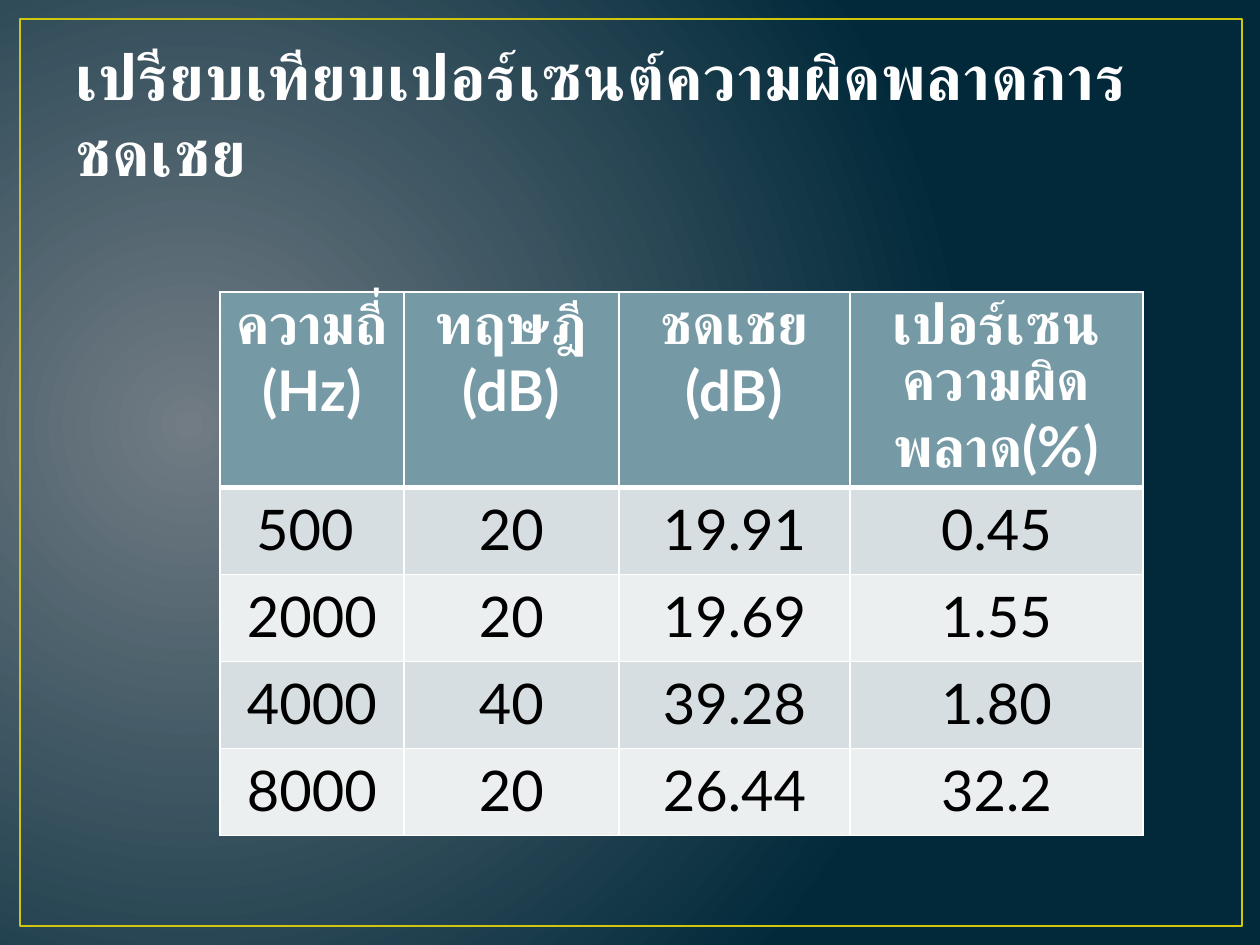
from dataclasses import dataclass

from pptx import Presentation
from pptx.dml.color import RGBColor
from pptx.enum.shapes import MSO_SHAPE as Preset
from pptx.enum.text import MSO_ANCHOR as Anchor, PP_ALIGN as Align
from pptx.oxml import parse_xml
from pptx.oxml.ns import nsdecls
from pptx.util import Pt

EMU_PER_PX = 914400 / 126


@dataclass(frozen=True)
class Theme:
    """Colours, fonts and type sizes of the slide."""
    glow: str = "717C84"
    night: str = "01293A"
    frame: str = "CFC60D"
    title: str = "FEFEFE"
    header: str = "759AA5"
    bands: tuple = ("D6DEE1", "ECEFF0")
    white: str = "FFFFFF"
    black: str = "000000"
    title_font: str = "Calibri"
    table_font: str = "Lato"
    title_size: int = 36
    table_size: int = 32


THEME = Theme()
TITLE = "เปรียบเทียบเปอร์เซนต์ความผิดพลาดการชดเชย"
COLUMN_WIDTHS = (184, 215, 231, 293)
ROW_HEIGHTS = (159, 87, 87, 87, 87)
ROWS = (
    ("ความถี่ (Hz)", "ทฤษฎี\n(dB)", "ชดเชย\n(dB)", "เปอร์เซนความผิดพลาด(%)"),
    ("500 ", "20", "19.91", "0.45"),
    ("2000", "20", "19.69", "1.55"),
    ("4000", "40", "39.28", "1.80"),
    ("8000", "20", "26.44", "32.2"),
)


def px(*lengths):
    """Turn pixel lengths into a list of EMU."""
    return [round(length * EMU_PER_PX) for length in lengths]


def apply_format(target, values):
    """Set each named attribute on the target."""
    for name, value in values.items():
        setattr(target, name, value)


def format_font(font, name, size, color, bold):
    """Give a font its face, size, colour and weight."""
    apply_format(font, {"name": name, "size": Pt(size), "bold": bold})
    font.color.rgb = RGBColor.from_string(color)


def set_background(slide):
    """Fill the slide with a radial gradient."""
    stops = "".join(
        f'<a:gs pos="{position}"><a:srgbClr val="{color}"/></a:gs>'
        for position, color in ((0, THEME.glow), (100000, THEME.night))
    )
    background = parse_xml(
        f'<p:bg {nsdecls("p", "a")}><p:bgPr><a:gradFill rotWithShape="1">'
        f'<a:gsLst>{stops}</a:gsLst><a:path path="circle">'
        '<a:fillToRect l="15000" t="50000" r="85000" b="60000"/></a:path>'
        '</a:gradFill><a:effectLst/></p:bgPr></p:bg>'
    )
    slide.element.cSld.insert(0, background)


def add_frame(slide):
    """Draw the thin border near the slide edge."""
    shape = slide.shapes.add_shape(Preset.RECTANGLE, *px(20, 19, 1222, 907))
    shape.shadow.inherit = False
    shape.fill.background()
    shape.line.color.rgb = RGBColor.from_string(THEME.frame)
    shape.line.width = Pt(1.5)


def add_title(slide):
    """Write the title at the bottom of its box."""
    text_frame = slide.shapes.add_textbox(*px(63, 38, 1134, 157)).text_frame
    apply_format(text_frame, {"word_wrap": True, "vertical_anchor": Anchor.BOTTOM})
    run = text_frame.paragraphs[0].add_run()
    run.text = TITLE
    format_font(run.font, THEME.title_font, THEME.title_size, THEME.title, True)
    run.font._element.set("spc", "50")


def set_borders(cell, bottom_width):
    """Put white lines on the four sides of a cell."""
    properties = cell._tc.get_or_add_tcPr()
    widths = {"lnL": 1, "lnR": 1, "lnT": 1, "lnB": bottom_width}
    for index, (tag, width) in enumerate(widths.items()):
        properties.insert(index, parse_xml(
            f'<a:{tag} {nsdecls("a")} w="{Pt(width)}"><a:solidFill>'
            f'<a:srgbClr val="{THEME.white}"/></a:solidFill></a:{tag}>'
        ))


def fill_cell(cell, text, row):
    """Write and style one table cell according to its row."""
    is_header = row == 0
    side, edge = px(15, 8)
    apply_format(cell, {
        "text": text, "margin_left": side, "margin_right": side,
        "margin_top": edge, "margin_bottom": edge,
    })
    for paragraph in cell.text_frame.paragraphs:
        paragraph.alignment = Align.CENTER
        for run in paragraph.runs:
            color = THEME.white if is_header else THEME.black
            format_font(run.font, THEME.table_font, THEME.table_size, color, is_header)
    fill = THEME.header if is_header else THEME.bands[(row - 1) % 2]
    cell.fill.solid()
    cell.fill.fore_color.rgb = RGBColor.from_string(fill)
    is_below_header = row == 1
    set_borders(cell, 3 if is_header else 1)
    if is_below_header:
        cell._tc.tcPr.find("{*}lnT").set("w", str(Pt(3)))


def add_error_table(slide):
    """Add the table of compensation errors by frequency."""
    bounds = px(220, 292, sum(COLUMN_WIDTHS), sum(ROW_HEIGHTS))
    table = slide.shapes.add_table(len(ROWS), len(COLUMN_WIDTHS), *bounds).table
    for column, width in zip(table.columns, px(*COLUMN_WIDTHS)):
        column.width = width
    for row, height in zip(table.rows, px(*ROW_HEIGHTS)):
        row.height = height
    for row, texts in enumerate(ROWS):
        for column, text in enumerate(texts):
            fill_cell(table.cell(row, column), text, row)


def main():
    """Build and save the slide."""
    presentation = Presentation()
    size = px(1260, 945)
    apply_format(presentation, dict(zip(("slide_width", "slide_height"), size)))
    slide = presentation.slides.add_slide(presentation.slide_layouts[6])
    set_background(slide)
    add_frame(slide)
    add_error_table(slide)
    add_title(slide)
    presentation.save("out.pptx")


if __name__ == "__main__":
    main()
